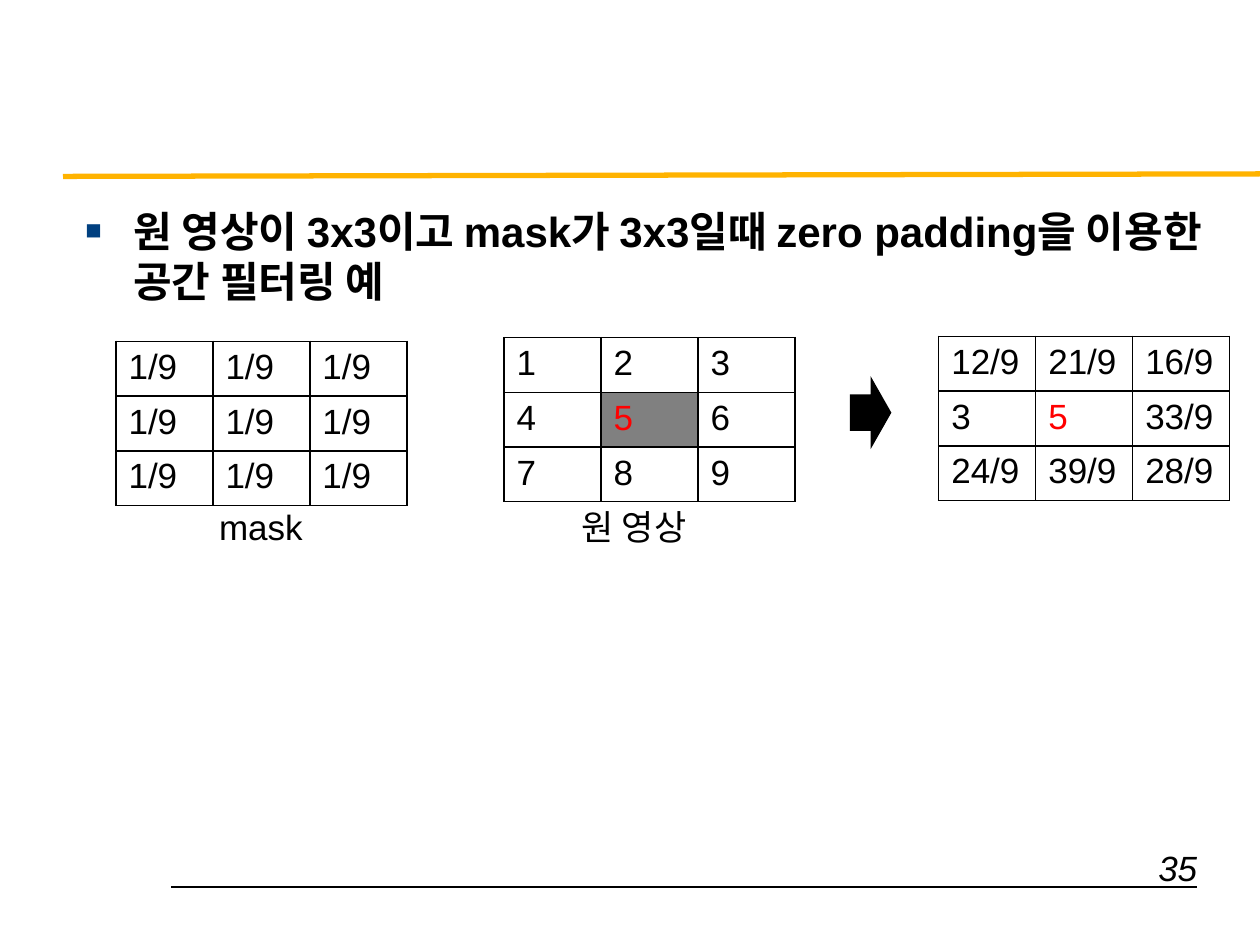
from lxml.etree import SubElement
from pptx import Presentation
from pptx.dml.color import RGBColor
from pptx.enum.shapes import MSO_CONNECTOR, MSO_SHAPE
from pptx.enum.text import PP_ALIGN
from pptx.oxml import parse_xml
from pptx.oxml.ns import nsdecls, qn
from pptx.util import Inches, Pt

BLACK = "000000"
RED = "FF0000"
GRAY = "808080"
COLUMN_WIDTH = 0.77


def color(value):
    return RGBColor.from_string(value)


def add_run(paragraph, text, size=20, ink=BLACK, bold=False, italic=False):
    run = paragraph.add_run()
    run.text = text
    run.font.name = "Arial"
    run.font.size = Pt(size)
    run.font.bold = bold
    run.font.italic = italic
    run.font.color.rgb = color(ink)


def add_text_box(slide, box, wrap=True):
    shape = slide.shapes.add_textbox(*map(Inches, box))
    shape.text_frame.word_wrap = wrap
    return shape.text_frame.paragraphs[0]


def add_rule(slide, start, end, ink, width):
    rule = slide.shapes.add_connector(
        MSO_CONNECTOR.STRAIGHT, *map(Inches, start + end))
    rule.line.color.rgb = color(ink)
    rule.line.width = Pt(width)
    SubElement(rule._element.spPr, qn("a:effectLst"))


def add_heading(slide, box):
    paragraph = add_text_box(slide, box)
    properties = paragraph._p.get_or_add_pPr()
    properties.set("marL", str(Inches(0.38)))
    properties.set("indent", str(Inches(-0.38)))
    for bullet in (
        '<a:buClr {}><a:srgbClr val="004080"/></a:buClr>',
        '<a:buSzPct {} val="65000"/>',
        '<a:buFont {} typeface="Arial"/>',
        '<a:buChar {} char="■"/>',
    ):
        properties.append(parse_xml(bullet.format(nsdecls("a"))))
    add_run(paragraph, "원 영상이 3x3이고 mask가 3x3일때 zero padding을 "
            "이용한 공간 필터링 예", 24, bold=True)


def add_borders(cell):
    properties = cell._tc.get_or_add_tcPr()
    for index, side in enumerate(("lnL", "lnR", "lnT", "lnB")):
        properties.insert(index, parse_xml(
            f'<a:{side} {nsdecls("a")} w="{Pt(1)}"><a:solidFill>'
            f'<a:srgbClr val="{BLACK}"/></a:solidFill></a:{side}>'))


def add_matrix(slide, left, top, row_height, values, center_ink=BLACK,
               center_fill=None):
    count = len(values)
    table = slide.shapes.add_table(
        count, count, Inches(left), Inches(top),
        Inches(count * COLUMN_WIDTH), Inches(count * row_height)).table
    table.first_row = False
    table.horz_banding = False
    for column in table.columns:
        column.width = Inches(COLUMN_WIDTH)
    for row_index, row in enumerate(values):
        table.rows[row_index].height = Inches(row_height)
        for column_index, value in enumerate(row):
            center = row_index == column_index == 1
            cell = table.cell(row_index, column_index)
            if center and center_fill:
                cell.fill.solid()
                cell.fill.fore_color.rgb = color(center_fill)
            else:
                cell.fill.background()
            add_borders(cell)
            add_run(cell.text_frame.paragraphs[0], value,
                    ink=center_ink if center else BLACK)


def add_result_arrow(slide, box):
    arrow = slide.shapes.add_shape(MSO_SHAPE.DOWN_ARROW, *map(Inches, box))
    arrow.rotation = 270
    arrow.shadow.inherit = False
    arrow.fill.solid()
    arrow.fill.fore_color.rgb = color(BLACK)
    arrow.line.fill.background()


def add_page_number(slide, box):
    paragraph = add_text_box(slide, box)
    paragraph.alignment = PP_ALIGN.RIGHT
    add_run(paragraph, "35", italic=True)


def build_slide(presentation):
    slide = presentation.slides.add_slide(presentation.slide_layouts[6])
    add_rule(slide, (1.36, 7.04), (9.5, 7.04), BLACK, 0.75)
    add_rule(slide, (0.5, 1.4), (10, 1.38), "FFB300", 3)
    add_heading(slide, (0.58, 1.58, 9.12, 4.54))
    add_page_number(slide, (7.42, 6.67, 2.18, 0.38))
    add_matrix(slide, 0.92, 2.71, 0.43, [["1/9"] * 3] * 3)
    add_matrix(slide, 4, 2.68, 0.41, ["123", "456", "789"], RED, GRAY)
    add_matrix(slide, 7.45, 2.67, 0.43, [
        ["12/9", "21/9", "16/9"],
        ["3", "5", "33/9"],
        ["24/9", "39/9", "28/9"],
    ], RED)
    for label, left, width in (("mask", 1.64, 0.87), ("원 영상", 4.52, 1.12)):
        add_run(add_text_box(slide, (left, 3.96, width, 0.44), False), label)
    add_result_arrow(slide, (6.62, 3.11, 0.58, 0.33))


presentation = Presentation()
presentation.slide_width = Inches(10)
presentation.slide_height = Inches(7.5)
build_slide(presentation)
presentation.save("out.pptx")
